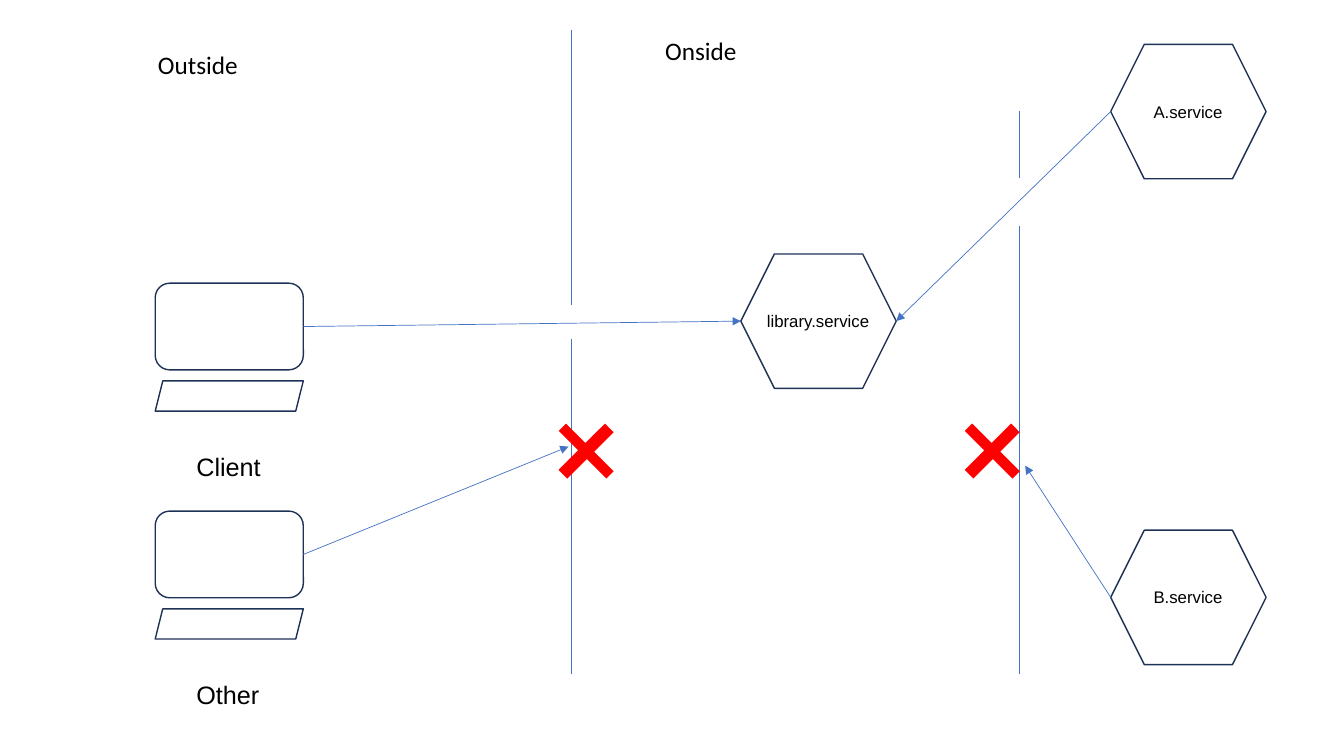
from pptx import Presentation
from pptx.dml.color import RGBColor
from pptx.enum.shapes import MSO_CONNECTOR, MSO_SHAPE
from pptx.enum.text import MSO_AUTO_SIZE
from pptx.oxml.ns import qn
from pptx.util import Pt
from lxml import etree

STRAIGHT = MSO_CONNECTOR.STRAIGHT
HEXAGON = MSO_SHAPE.HEXAGON
SCREEN = MSO_SHAPE.ROUNDED_RECTANGLE
KEYBOARD = MSO_SHAPE.PARALLELOGRAM
CROSS = MSO_SHAPE.CROSS
FIT_SHAPE = MSO_AUTO_SIZE.SHAPE_TO_FIT_TEXT
RIGHT_SIDE = 3

COLORS = {"outline": "1E3256", "link": "4472C4", "blocked": "FF0000", "text": "000000"}
SERVICE_W, SERVICE_H = 111, 96
SCREEN_W, SCREEN_H = 105.8, 61.9
OUTER_WALL_X, INNER_WALL_X = 408.2, 727.9
WALL_BOTTOM = 481.7


def color(name):
    return RGBColor.from_string(COLORS[name])


def add_text(slide, text, left, top, width, height=28.8, size=18, font="Arial"):
    box = slide.shapes.add_textbox(Pt(left), Pt(top), Pt(width), Pt(height))
    frame = box.text_frame
    frame.word_wrap = False
    frame.auto_size = FIT_SHAPE
    run = frame.paragraphs[0].add_run()
    run.text = text
    run.font.size = Pt(size)
    run.font.name = font
    run.font.color.rgb = color("text")


def add_outline(slide, kind, left, top, width, height):
    outline = slide.shapes.add_shape(kind, Pt(left), Pt(top), Pt(width), Pt(height))
    outline.shadow.inherit = False
    outline.fill.background()
    outline.line.color.rgb = color("outline")
    outline.line.width = Pt(1)
    return outline


def add_line(slide, start, end, arrow=False):
    line = slide.shapes.add_connector(STRAIGHT, *map(Pt, start + end))
    line.line.color.rgb = color("link")
    line.line.width = Pt(0.5)
    if arrow:
        etree.SubElement(line.line._get_or_add_ln(), qn("a:tailEnd"), type="triangle")
    etree.SubElement(line._element.spPr, qn("a:effectLst"))
    return line


def add_service(slide, name, left, top, label_width):
    """Draw a service and return its left and right corners."""
    add_outline(slide, HEXAGON, left, top, SERVICE_W, SERVICE_H)
    middle = top + SERVICE_H / 2
    add_text(slide, name, left + (SERVICE_W - label_width) / 2, middle - 10.9,
             label_width, height=21.8, size=12)
    return (left, middle), (left + SERVICE_W, middle)


def add_computer(slide, name, top, target):
    """Draw a computer with its request arrow to the target point."""
    left = 110.9
    screen = add_outline(slide, SCREEN, left, top, SCREEN_W, SCREEN_H)
    add_outline(slide, KEYBOARD, left, top + 69.8, SCREEN_W, 21.6)
    add_text(slide, name, left + 22.3, top + 116.5, 61)
    request = add_line(slide, (left + SCREEN_W, top + SCREEN_H / 2), target, arrow=True)
    request.begin_connect(screen, RIGHT_SIDE)


def add_wall(slide, x, top, gap_top, gap_bottom):
    for start, end in ((top, gap_top), (gap_bottom, WALL_BOTTOM)):
        add_line(slide, (x, start), (x, end))


def add_blocked_mark(slide, left):
    mark = slide.shapes.add_shape(CROSS, Pt(left), Pt(298.8), Pt(48.2), Pt(46.8))
    mark.shadow.inherit = False
    mark.adjustments[0] = 0.421
    mark.rotation = 45
    mark.fill.solid()
    mark.fill.fore_color.rgb = color("blocked")
    mark.line.fill.background()


def main():
    prs = Presentation()
    prs.slide_width, prs.slide_height = Pt(960), Pt(540)
    slide = prs.slides.add_slide(prs.slide_layouts[6])

    # Services
    library_left, library_right = add_service(slide, "library.service", 529.2, 181.4, 88)
    b_left, _ = add_service(slide, "B.service", 793.4, 378.7, 64)
    a_left, _ = add_service(slide, "A.service", 793.4, 31.7, 64)

    # Computers outside and their requests
    add_computer(slide, "Client", 202.3, library_left)
    add_computer(slide, "Other", 365.1, (406.1, 319))

    # Walls with an opening for allowed traffic
    add_wall(slide, OUTER_WALL_X, 21.6, 218.2, 241.9)
    add_wall(slide, INNER_WALL_X, 79.2, 126.9, 161.3)

    # Requests between services
    add_line(slide, a_left, library_right, arrow=True)
    add_line(slide, b_left, (732.3, 332.6), arrow=True)

    # Blocked requests
    for left in (394.6, 684.7):
        add_blocked_mark(slide, left)

    # Zone titles
    add_text(slide, "Outside", 105.8, 31.7, 72, font="Calibri")
    add_text(slide, "Onside", 468, 21.6, 66.2, font="Calibri")

    prs.save("out.pptx")


if __name__ == "__main__":
    main()
